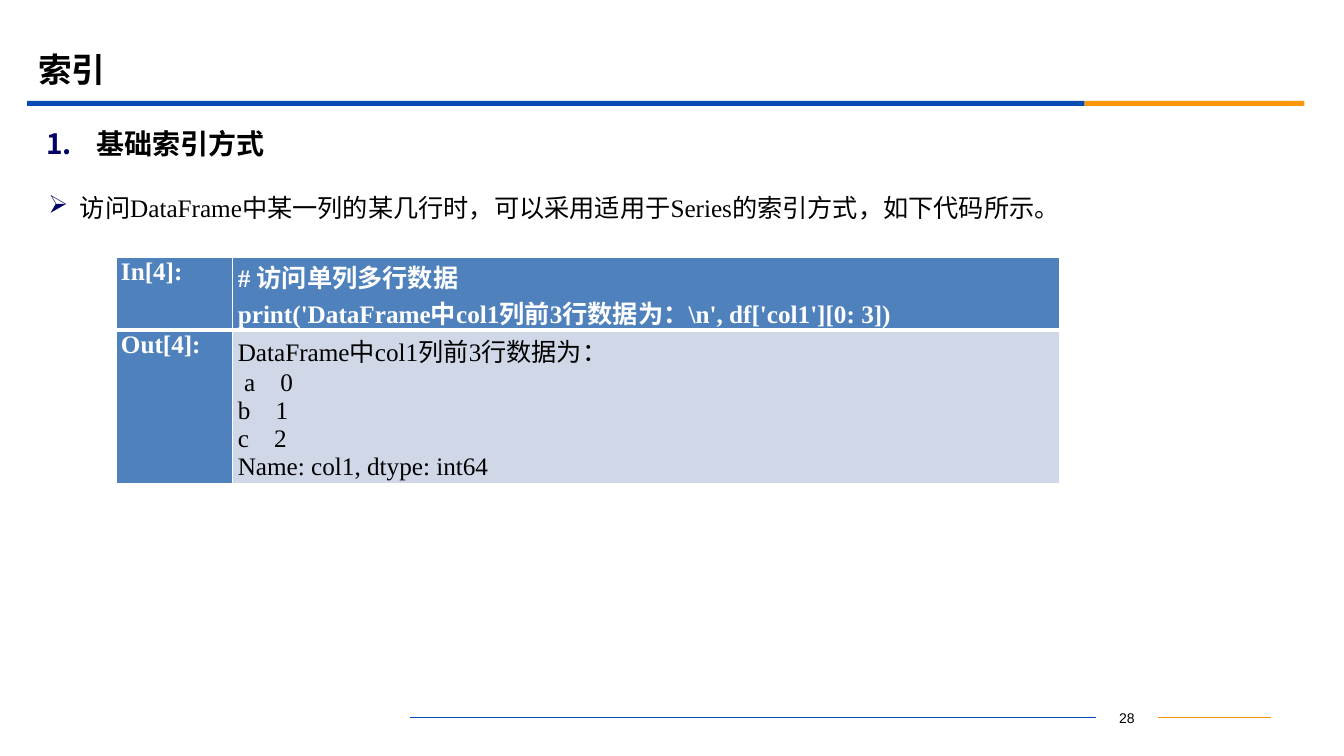
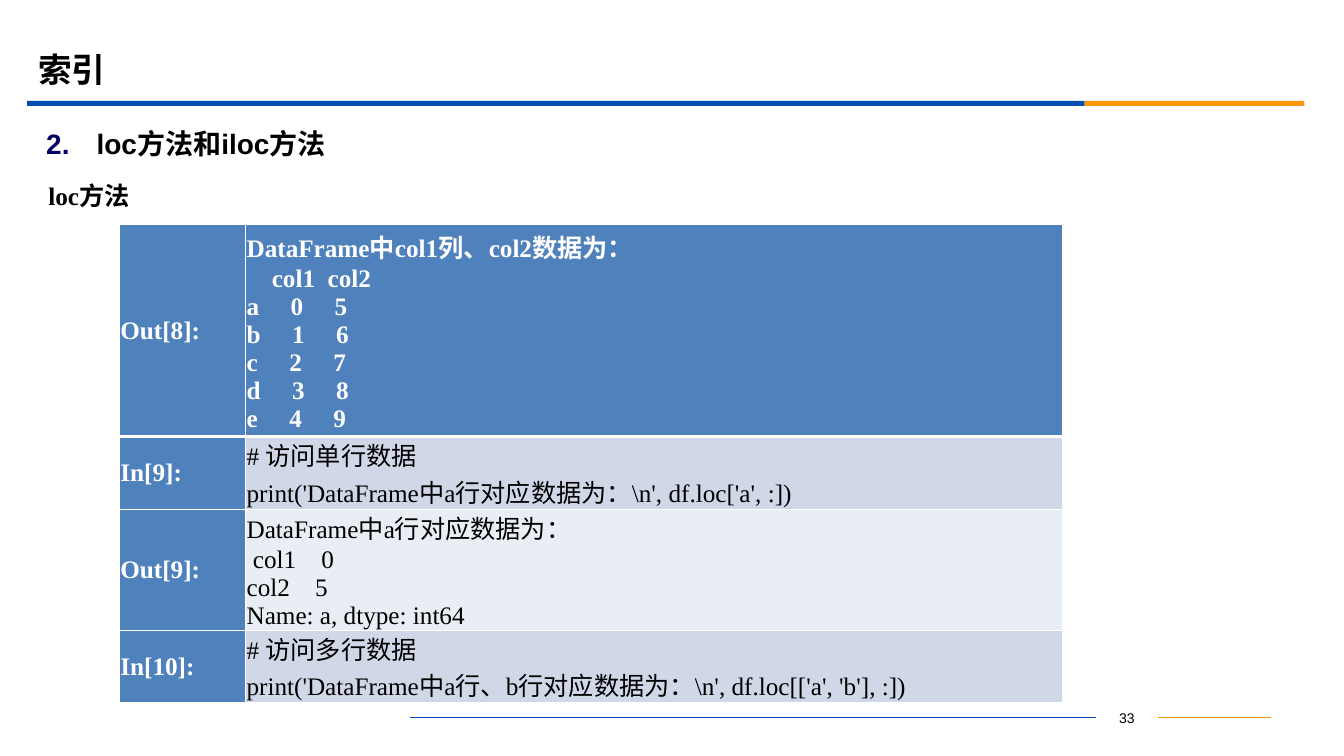
from lxml.etree import SubElement
from pptx import Presentation
from pptx.dml.color import RGBColor
from pptx.enum.shapes import MSO_CONNECTOR, MSO_SHAPE
from pptx.enum.text import MSO_ANCHOR, PP_ALIGN
from pptx.oxml.ns import qn
from pptx.util import Pt

COLORS = {
    "text": "000000",
    "white": "FFFFFF",
    "marker": "000066",
    "bar_blue": "064BB2",
    "bar_orange": "FB9708",
    "rule_orange": "F19500",
    "cell_blue": "4F81BD",
    "cell_band": "D0D8E8",
    "cell_light": "E9EDF4",
}
SANS, SERIF = "Arial", "Times New Roman"
TITLE_BOX = (20.2, 28.1, 864, 41.8)
HEADING_BOX = (25.9, 85.7, 874.8, 33.8)
PAGE_NUMBER_BOX = (782.6, 503.6, 44.7, 18)
BAR_LEFT, BAR_TOP, BAR_HEIGHT = 19.4, 72, 3.6
BAR_WIDTHS = {"bar_blue": 755.3, "bar_orange": 157}
RULE_START, RULE_END = 293, 908


def rgb(name):
    return RGBColor.from_string(COLORS[name])


def format_text(frame, size, font, color="text", bold=False, align=PP_ALIGN.LEFT):
    for paragraph in frame.paragraphs:
        paragraph.alignment = align
        for run in paragraph.runs:
            run.font.size = Pt(size)
            run.font.name = font
            run.font.bold = bold
            run.font.color.rgb = rgb(color)


def add_text(slide, box, text, size, font, **style):
    label = slide.shapes.add_textbox(*map(Pt, box))
    frame = label.text_frame
    frame.word_wrap = True
    frame.vertical_anchor = MSO_ANCHOR.MIDDLE
    frame.text = text
    format_text(frame, size, font, **style)
    return label


def add_marker(paragraph, indent, kind, **attributes):
    """Give the paragraph a hanging bullet or number; kind is buChar or buAutoNum."""
    properties = paragraph._p.get_or_add_pPr()
    properties.set("marL", str(Pt(indent)))
    properties.set("indent", str(-Pt(indent)))
    color = SubElement(properties, qn("a:buClr"))
    SubElement(color, qn("a:srgbClr"), val=COLORS["marker"])
    SubElement(properties, qn(f"a:{kind}"), **attributes)


def add_title(slide, text):
    title = slide.shapes.title
    title.left, title.top, title.width, title.height = map(Pt, TITLE_BOX)
    title.text_frame.text = text
    title.text_frame.vertical_anchor = MSO_ANCHOR.MIDDLE
    format_text(title.text_frame, 24, SANS, bold=True)


def add_title_bar(slide):
    left = BAR_LEFT
    for color, width in BAR_WIDTHS.items():
        bar = slide.shapes.add_shape(
            MSO_SHAPE.RECTANGLE, Pt(left), Pt(BAR_TOP), Pt(width), Pt(BAR_HEIGHT))
        bar.shadow.inherit = False
        bar.fill.solid()
        bar.fill.fore_color.rgb = rgb(color)
        bar.line.fill.background()
        left += width


def add_footer(slide, page):
    number = add_text(slide, PAGE_NUMBER_BOX, str(page), 10, SANS,
                      align=PP_ALIGN.CENTER)
    middle = Pt(PAGE_NUMBER_BOX[1] + PAGE_NUMBER_BOX[3] / 2)
    for outer, side, color in ((RULE_START, 1, "bar_blue"),
                               (RULE_END, 3, "rule_orange")):
        rule = slide.shapes.add_connector(
            MSO_CONNECTOR.STRAIGHT, Pt(outer), middle, Pt(outer), middle)
        rule.end_connect(number, side)
        rule.line.color.rgb = rgb(color)
        rule.line.width = Pt(0.75)
        SubElement(rule._element.spPr, qn("a:effectLst"))


def add_heading(slide, text, number):
    heading = add_text(slide, HEADING_BOX, text, 20, SANS, bold=True)
    paragraph = heading.text_frame.paragraphs[0]
    paragraph.space_before = Pt(4)
    add_marker(paragraph, 36, "buAutoNum", type="arabicPeriod", startAt=str(number))


def add_lead(slide, box, text, bulleted):
    lead = add_text(slide, box, text, 18, SERIF, bold=not bulleted)
    paragraph = lead.text_frame.paragraphs[0]
    paragraph.space_before = Pt(3.6)
    if bulleted:
        add_marker(paragraph, 22.5, "buChar", char="➢")


def set_borders(cell, top, bottom):
    properties = cell._tc.get_or_add_tcPr()
    for side, width in (("L", 1), ("R", 1), ("T", top), ("B", bottom)):
        border = SubElement(properties, qn(f"a:ln{side}"), w=str(Pt(width)))
        fill = SubElement(border, qn("a:solidFill"))
        SubElement(fill, qn("a:srgbClr"), val=COLORS["white"])


def add_code_table(slide, box, label_width, heights, cells, margins, label_anchor):
    """Rows of (label, code); the first row is the header, the rest are banded."""
    left, top, width = box
    table = slide.shapes.add_table(
        len(cells), 2, Pt(left), Pt(top), Pt(width), Pt(sum(heights))).table
    table.columns[0].width = Pt(label_width)
    table.columns[1].width = Pt(width - label_width)
    side_margin, end_margin = margins
    for index, (row_text, height) in enumerate(zip(cells, heights)):
        table.rows[index].height = Pt(height)
        band = "cell_band" if index % 2 else "cell_light"
        for column, text in enumerate(row_text):
            cell = table.cell(index, column)
            strong = index == 0 or column == 0
            set_borders(cell, 3 if index == 1 else 1, 3 if index == 0 else 1)
            cell.fill.solid()
            cell.fill.fore_color.rgb = rgb("cell_blue" if strong else band)
            cell.margin_left = cell.margin_right = Pt(side_margin)
            cell.margin_top = cell.margin_bottom = Pt(end_margin)
            cell.vertical_anchor = MSO_ANCHOR.MIDDLE if column else label_anchor
            cell.text_frame.text = text
            format_text(cell.text_frame, 18, SERIF, bold=strong,
                        color="white" if strong else "text",
                        align=PP_ALIGN.JUSTIFY if column else PP_ALIGN.LEFT)


def add_index_slide(deck, page, number, heading):
    slide = deck.slides.add_slide(deck.slide_layouts[5])
    add_title_bar(slide)
    add_footer(slide, page)
    add_title(slide, "索引")
    add_heading(slide, heading, number)
    return slide


def add_basic_index_slide(deck):
    slide = add_index_slide(deck, 28, 1, "基础索引方式")
    add_lead(slide, (27.4, 122.4, 905.8, 51.1),
             "访问DataFrame中某一列的某几行时，可以采用适用于Series的索引方式，如下代码所示。",
             bulleted=True)
    cells = [
        ("In[4]:", "# 访问单列多行数据\n"
                   "print('DataFrame中col1列前3行数据为：\\n', df['col1'][0: 3])"),
        ("Out[4]:", "DataFrame中col1列前3行数据为：\n a    0\nb    1\nc    2\n"
                    "Name: col1, dtype: int64"),
    ]
    add_code_table(slide, (82.8, 183.8, 674), 83.5, (52, 106), cells,
                   margins=(3.6, 0.7), label_anchor=MSO_ANCHOR.TOP)


def add_loc_slide(deck):
    slide = add_index_slide(deck, 33, 2, "loc方法和iloc方法")
    add_lead(slide, (27.4, 118.8, 905.8, 41.8), "loc方法", bulleted=False)
    cells = [
        ("Out[8]:", "DataFrame中col1列、col2数据为：\n    col1  col2\na     0     5\n"
                    "b     1     6\nc     2     7\nd     3     8\ne     4     9"),
        ("In[9]:", "# 访问单行数据\n"
                   "print('DataFrame中a行对应数据为：\\n', df.loc['a', :])"),
        ("Out[9]:", "DataFrame中a行对应数据为：\n col1    0\ncol2    5\n"
                    "Name: a, dtype: int64"),
        ("In[10]:", "# 访问多行数据\n"
                    "print('DataFrame中a行、b行对应数据为：\\n', df.loc[['a', 'b'], :])"),
    ]
    add_code_table(slide, (85.3, 160.5, 674), 90.2, (145, 52, 86, 52), cells,
                   margins=(0.7, 0), label_anchor=MSO_ANCHOR.MIDDLE)


def main():
    deck = Presentation()
    deck.slide_width, deck.slide_height = Pt(960), Pt(540)
    add_basic_index_slide(deck)
    add_loc_slide(deck)
    deck.save("out.pptx")


if __name__ == "__main__":
    main()
